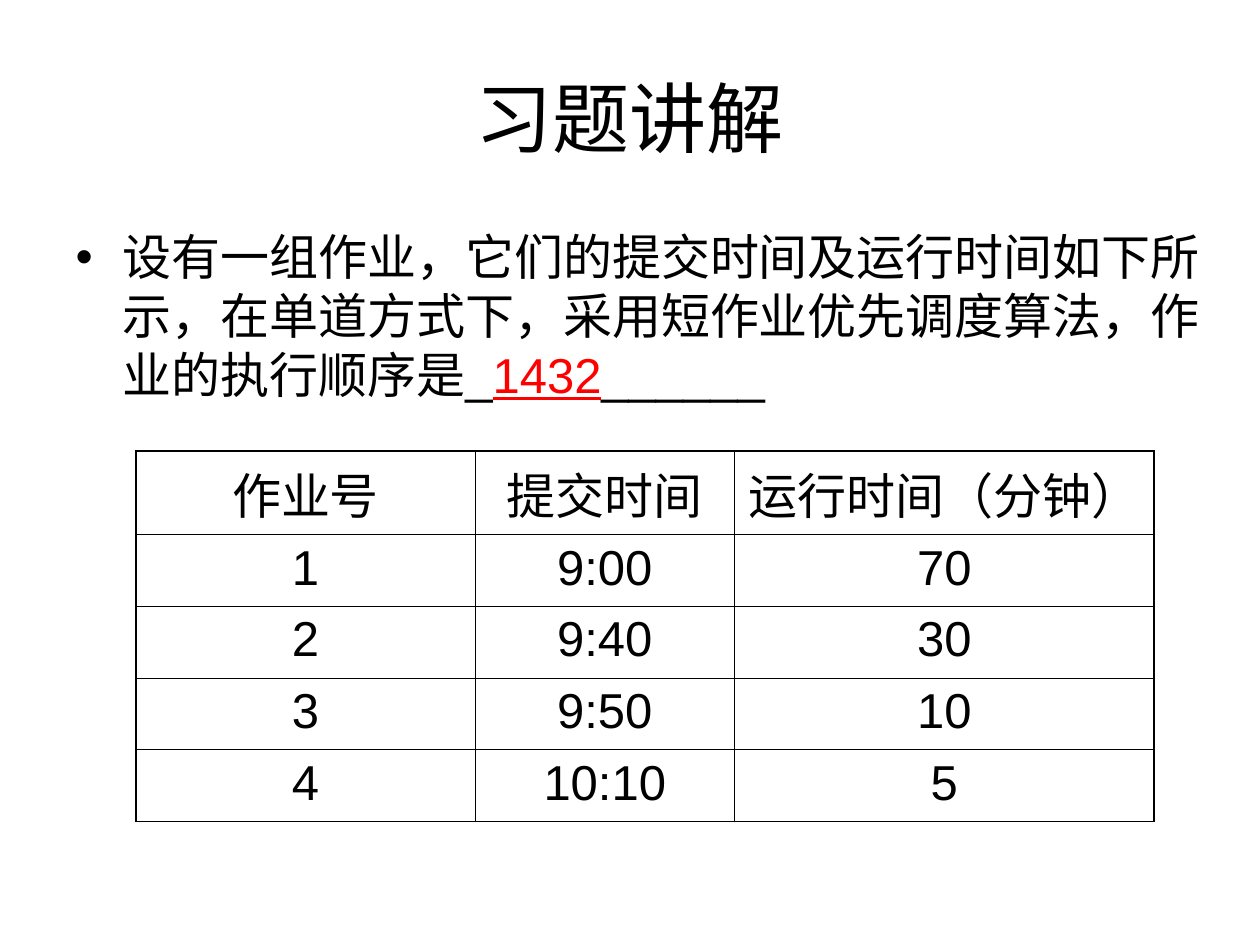
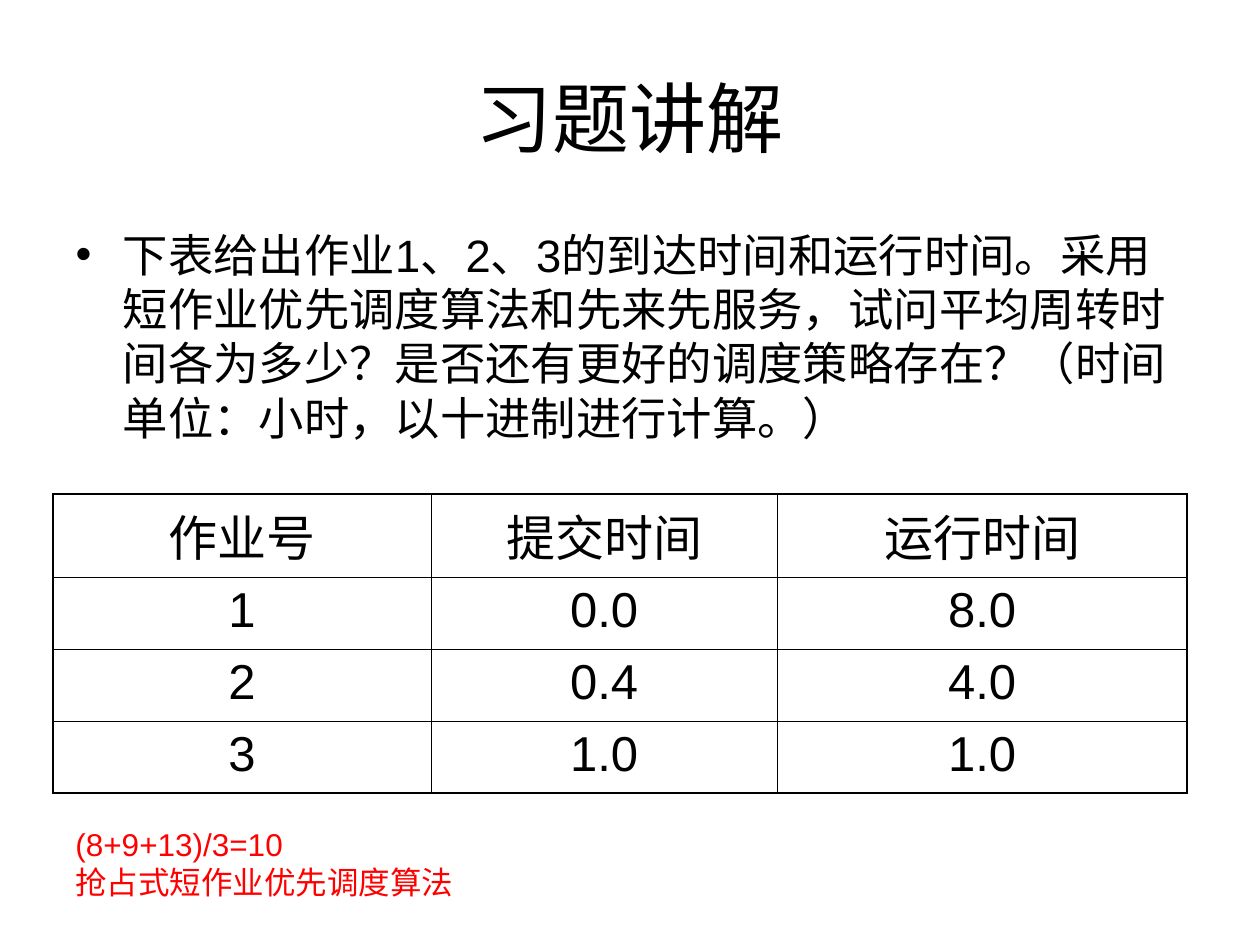
from lxml import etree
from pptx import Presentation
from pptx.dml.color import RGBColor
from pptx.enum.text import MSO_ANCHOR, MSO_AUTO_SIZE, PP_ALIGN
from pptx.oxml.ns import qn
from pptx.util import Inches, Pt

CENTER = PP_ALIGN.CENTER
MIDDLE = MSO_ANCHOR.MIDDLE
NO_FIT = MSO_AUTO_SIZE.NONE
BLACK, RED = "000000", "FF0000"
THIN, THICK = 0.45, 1.08


def style(font, size, color=BLACK):
    for key, value in {"name": "Arial", "size": Pt(size)}.items():
        setattr(font, key, value)
    font.color.rgb = RGBColor.from_string(color)


def border(cell, widths):
    """Draw the left, right, top and bottom lines of a cell, in points."""
    props = cell._tc.get_or_add_tcPr()
    for pos, (side, width) in enumerate(zip("LRTB", widths)):
        line = etree.Element(qn(f"a:ln{side}"), w=str(Pt(width)))
        fill = etree.SubElement(line, qn("a:solidFill"))
        etree.SubElement(fill, qn("a:srgbClr"), val=BLACK)
        props.insert(pos, line)


pages = [
    {
        "body": (9.17, 1.92),
        "size": 28,
        "text": [
            ("设有一组作业，它们的提交时间及运行时间如下所示，在单道方式下，"
             "采用短作业优先调度算法，作业的执行顺序是_", BLACK),
            ("1432", RED),
            ("______", BLACK),
        ],
        "place": (1.08, 3.58),
        "cols": [2.69, 2.06, 3.33],
        "rows": [
            ("作业号", "提交时间", "运行时间（分钟）"),
            ("1", "9:00", "70"),
            ("2", "9:40", "30"),
            ("3", "9:50", "10"),
            ("4", "10:10", "5"),
        ],
    },
    {
        "body": (9.08, 2),
        "size": 25.9,
        "text": [
            ("下表给出作业1、2、3的到达时间和运行时间。采用短作业优先调度算法"
             "和先来先服务，试问平均周转时间各为多少？是否还有更好的调度策略"
             "存在？（时间单位：小时，以十进制进行计算。）", BLACK),
        ],
        "place": (0.42, 3.92),
        "cols": [3, 2.75, 3.25],
        "rows": [
            ("作业号", "提交时间", "运行时间"),
            ("1", "0.0", "8.0"),
            ("2", "0.4", "4.0"),
            ("3", "1.0", "1.0"),
        ],
    },
]

deck = Presentation()
deck.slide_width, deck.slide_height = Inches(10), Inches(7.5)
layout = deck.slide_layouts[1]  # title with a bulleted body

for page in pages:
    slide = deck.slides.add_slide(layout)

    title = slide.shapes.title
    title.left, title.top = Inches(0.5), Inches(0.3)
    title.width, title.height = Inches(9), Inches(1.25)
    title.text = "习题讲解"
    title.text_frame.vertical_anchor = MIDDLE
    head = title.text_frame.paragraphs[0]
    head.alignment = CENTER
    style(head.runs[0].font, 44)

    body = slide.placeholders[1]
    body.left, body.top = Inches(0.5), Inches(1.75)
    body.width, body.height = map(Inches, page["body"])
    body.text_frame.auto_size = NO_FIT
    para = body.text_frame.paragraphs[0]
    for words, color in page["text"]:
        run = para.add_run()
        run.text = words
        style(run.font, page["size"], color)
        if color == RED:
            run.font.underline = True

    rows, cols = page["rows"], page["cols"]
    left, top = page["place"]
    table = slide.shapes.add_table(
        len(rows), len(cols), Inches(left), Inches(top),
        Inches(sum(cols)), Inches(0.57 * len(rows))).table
    table.first_row = table.horz_banding = False
    for col, width in zip(table.columns, cols):
        col.width = Inches(width)
    end, last = len(rows) - 1, len(cols) - 1
    for r, row in enumerate(rows):
        for c, words in enumerate(row):
            cell = table.cell(r, c)
            cell.text = words
            cell.fill.background()
            edges = (c == 0, c == last, r == 0, r == end)
            border(cell, [THICK if edge else THIN for edge in edges])
            para = cell.text_frame.paragraphs[0]
            para.alignment = CENTER
            para.space_before = Pt(7)
            style(para.runs[0].font, 28)

note = slide.shapes.add_textbox(
    Inches(0.5), Inches(6.5), Inches(3.25), Inches(0.7))
note.text_frame.word_wrap = True
note.text_frame.text = "(8+9+13)/3=10\n抢占式短作业优先调度算法"
for para in note.text_frame.paragraphs:
    style(para.runs[0].font, 18, RED)

deck.save("out.pptx")
